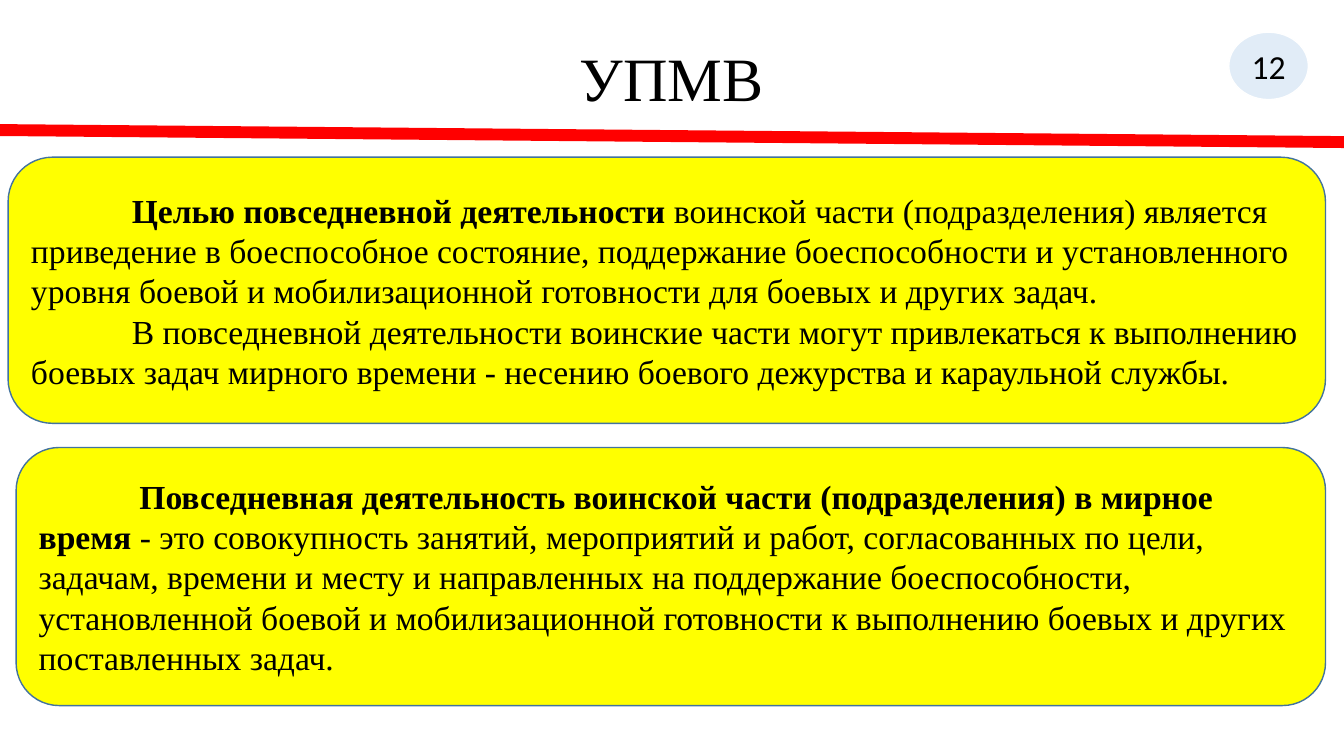
from pptx import Presentation
from pptx.dml.color import RGBColor
from pptx.enum.shapes import MSO_CONNECTOR, MSO_SHAPE
from pptx.enum.text import MSO_ANCHOR, PP_ALIGN
from pptx.oxml.ns import qn
from pptx.util import Pt
from lxml.etree import SubElement


def color(value):
    return RGBColor.from_string(value)


class SlideBuilder:
    SERIF, SANS = "Times New Roman", "Calibri"
    BLACK, WHITE, RED = "000000", "FFFFFF", "FF0000"
    YELLOW, BORDER, BLUE = "FFFF00", "43739E", "5B9BD5"

    def __init__(self, page):
        self.page = page

    def style_text(self, para, name, size, align):
        para.alignment = align
        para.font.name = name
        para.font.size = Pt(size)
        para.font.color.rgb = color(self.BLACK)

    def title(self, text, left, top, width, height):
        box = self.page.shapes.add_textbox(Pt(left), Pt(top), Pt(width), Pt(height))
        frame = box.text_frame
        frame.word_wrap = True
        frame.vertical_anchor = MSO_ANCHOR.TOP
        frame.margin_top = Pt(6)
        para = frame.paragraphs[0]
        para.text = text
        para.line_spacing = 0.9
        self.style_text(para, self.SERIF, 44, PP_ALIGN.CENTER)

    def rule(self, start, end, weight):
        line = self.page.shapes.add_connector(
            MSO_CONNECTOR.STRAIGHT, *(Pt(value) for value in start + end))
        line.line.color.rgb = color(self.RED)
        line.line.width = Pt(weight)
        SubElement(line._element.spPr, qn("a:effectLst"))

    def shape(self, kind, left, top, width, height, fill, border):
        shape = self.page.shapes.add_shape(kind, Pt(left), Pt(top), Pt(width), Pt(height))
        shape.shadow.inherit = False
        shape.fill.solid()
        shape.fill.fore_color.rgb = color(fill)
        shape.line.color.rgb = color(border)
        shape.line.width = Pt(1)
        shape.text_frame.vertical_anchor = MSO_ANCHOR.MIDDLE
        return shape

    def number_badge(self, text, left, top, width, height):
        badge = self.shape(MSO_SHAPE.OVAL, left, top, width, height, self.BLUE, self.WHITE)
        fill = badge._element.spPr.find(qn("a:solidFill"))
        SubElement(fill[0], qn("a:alpha"), val="18000")
        badge.text_frame.word_wrap = False
        para = badge.text_frame.paragraphs[0]
        para.text = text
        self.style_text(para, self.SANS, 24, PP_ALIGN.CENTER)

    def panel(self, paragraphs, left, top, width, height):
        """Each paragraph is a pair: bold lead, then regular text."""
        panel = self.shape(MSO_SHAPE.ROUNDED_RECTANGLE, left, top, width, height,
                           self.YELLOW, self.BORDER)
        frame = panel.text_frame
        frame.word_wrap = True
        for index, (lead, body) in enumerate(paragraphs):
            para = frame.add_paragraph() if index else frame.paragraphs[0]
            para._p.get_or_add_pPr().set("indent", str(Pt(72)))
            self.style_text(para, self.SERIF, 24, PP_ALIGN.LEFT)
            for text, bold in ((lead, True), (body, False)):
                if text:
                    span = para.add_run()
                    span.text = text
                    span.font.bold = bold


GOAL = [
    ("Целью повседневной деятельности",
     " воинской части (подразделения) является приведение в боеспособное состояние, "
     "поддержание боеспособности и установленного уровня боевой и мобилизационной "
     "готовности для боевых и других задач."),
    ("",
     "В повседневной деятельности воинские части могут привлекаться к выполнению "
     "боевых задач мирного времени - несению боевого дежурства и караульной службы."),
]
DEFINITION = [
    ("Повседневная деятельность воинской части (подразделения) в мирное время",
     " - это совокупность занятий, мероприятий и работ, согласованных по цели, "
     "задачам, времени и месту и направленных на поддержание боеспособности, "
     "установленной боевой и мобилизационной готовности к выполнению боевых и других "
     "поставленных задач."),
]


def main():
    deck = Presentation()
    deck.slide_width, deck.slide_height = Pt(960), Pt(540)
    builder = SlideBuilder(deck.slides.add_slide(deck.slide_layouts[6]))

    # Header
    builder.title("УПМВ", 66, 28.8, 828, 104.4)
    builder.rule((0, 92.9), (960, 101.5), 8.5)
    builder.number_badge("12", 877.7, 23, 56.9, 48.2)

    # Text panels
    builder.panel(GOAL, 5.8, 112.3, 941, 190.1)
    builder.panel(DEFINITION, 11.5, 319.7, 935.3, 184.3)

    deck.save("out.pptx")


if __name__ == "__main__":
    main()
